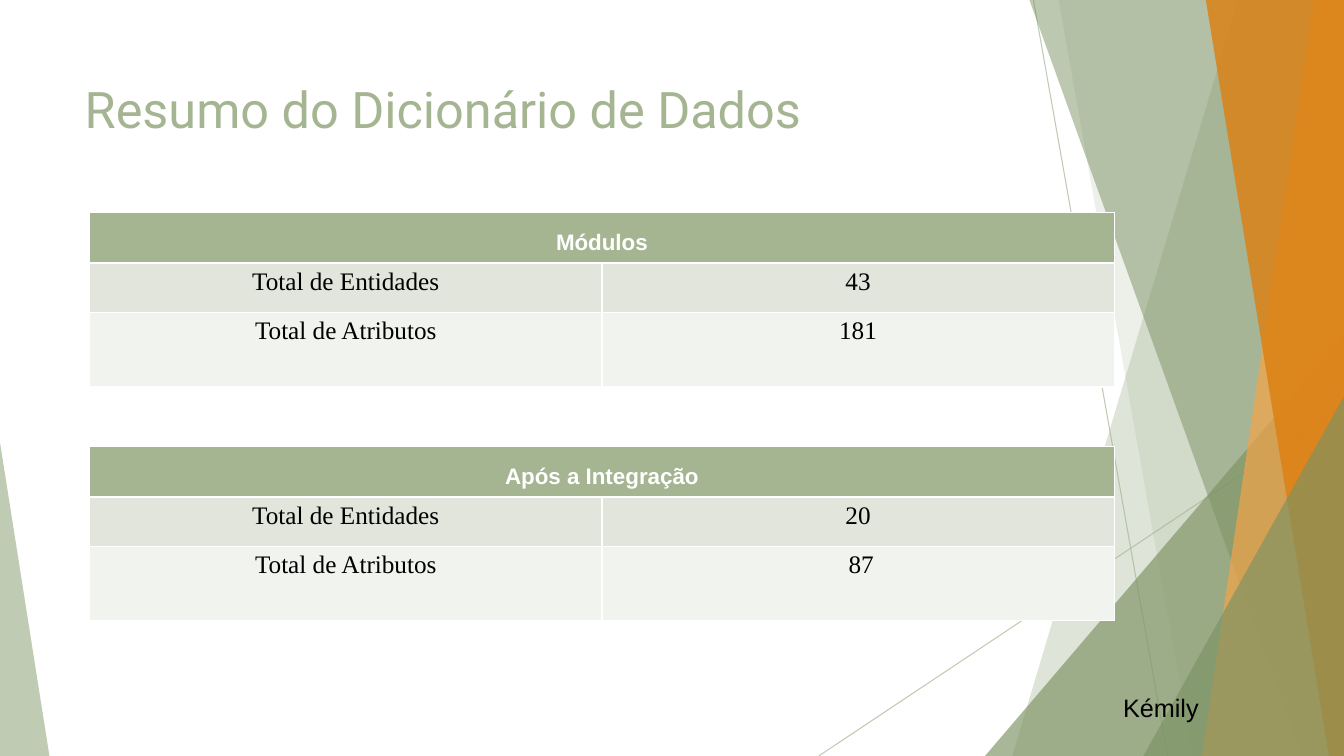
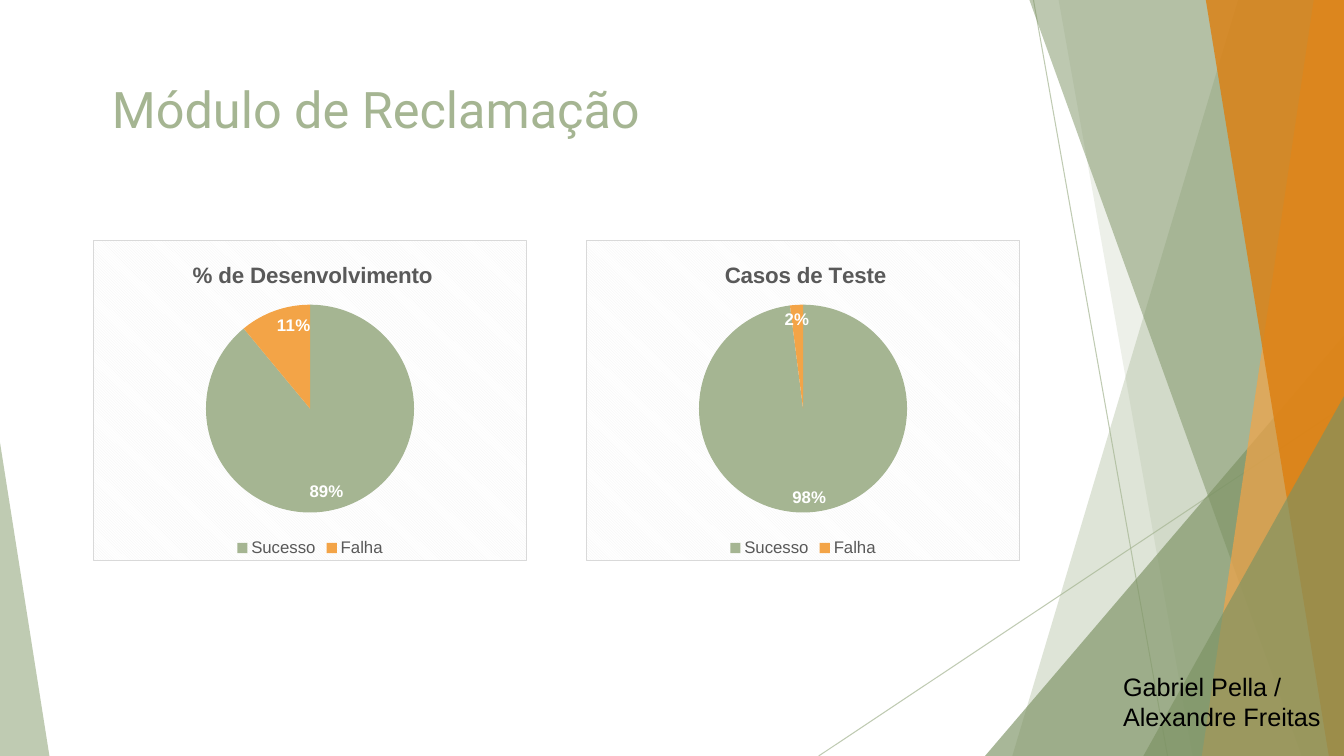
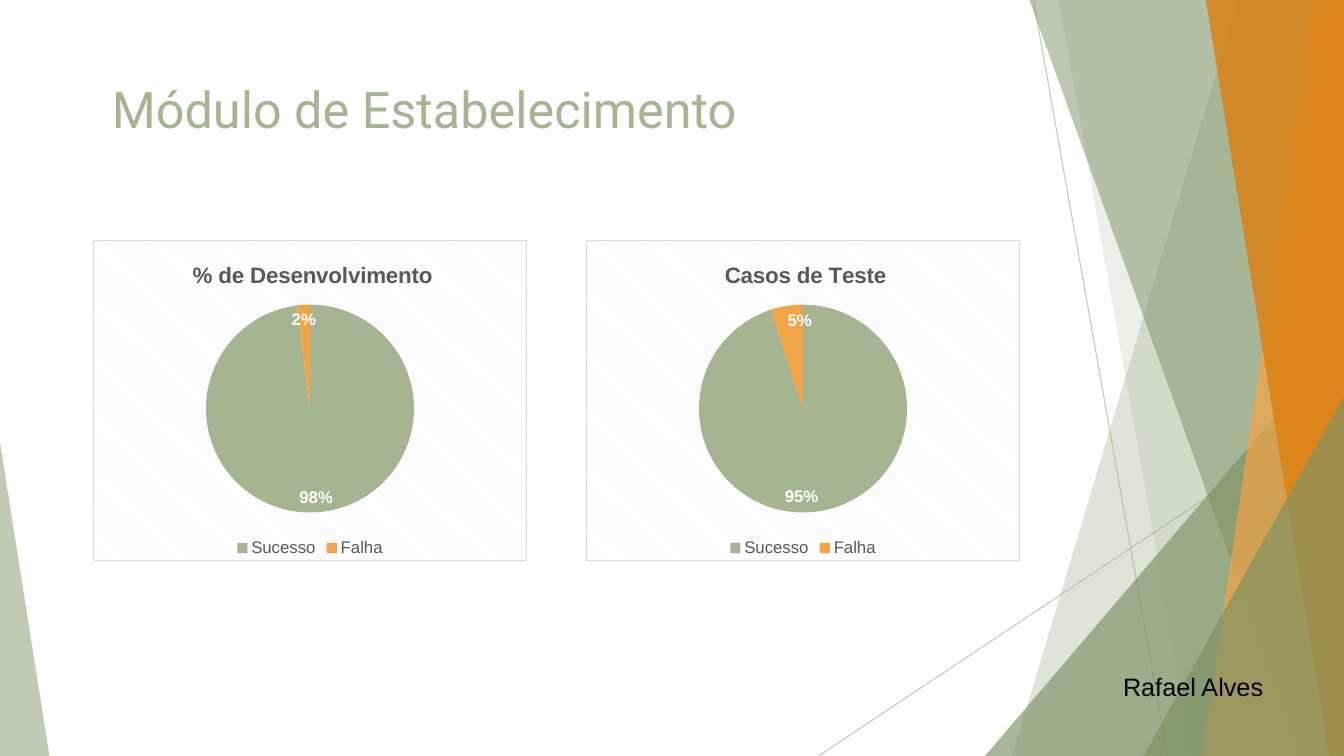
import lxml.etree
import pptx
import pptx.chart.data
import pptx.dml.color
import pptx.enum.chart
import pptx.enum.shapes
import pptx.enum.text
import pptx.oxml
import pptx.oxml.ns
import pptx.util

Inches, Pt = pptx.util.Inches, pptx.util.Pt
RGBColor = pptx.dml.color.RGBColor
PP_ALIGN = pptx.enum.text.PP_ALIGN
ANCHOR = pptx.enum.text.MSO_ANCHOR
qn = pptx.oxml.ns.qn

# Shared look
SAGE = RGBColor(0xA5, 0xB5, 0x92)
GREEN = RGBColor(0x7C, 0x92, 0x63)
AMBER = RGBColor(0xF3, 0xA4, 0x47)
ORANGE = RGBColor(0xDD, 0x7E, 0x0E)
ROW_DARK = RGBColor(0xE1, 0xE5, 0xDC)
ROW_LIGHT = RGBColor(0xF0, 0xF3, 0xEE)
GRAY = RGBColor(0x59, 0x59, 0x59)
BLACK = RGBColor(0, 0, 0)
WHITE = RGBColor(0xFF, 0xFF, 0xFF)
WIDTH, HEIGHT = 13.33, 7.5

CHART_AREA = (
    f'<c:spPr {pptx.oxml.ns.nsdecls("c", "a")}>'
    '<a:pattFill prst="dkDnDiag"><a:fgClr><a:srgbClr val="F2F2F2"/></a:fgClr>'
    '<a:bgClr><a:srgbClr val="FFFFFF"/></a:bgClr></a:pattFill>'
    '<a:ln w="9525"><a:solidFill><a:srgbClr val="D9D9D9"/></a:solidFill></a:ln>'
    '</c:spPr>')


def box(left, top, width, height):
    return Inches(left), Inches(top), Inches(width), Inches(height)


def style_font(font, size, color, name="Arial", bold=False):
    font.size, font.name, font.bold = Pt(size), name, bold
    font.color.rgb = color


def add_run(p, text, size, color, name="Arial", bold=False):
    r = p.add_run()
    r.text = text
    style_font(r.font, size, color, name, bold)


# Background facets
def set_alpha(shape, percent):
    for color in shape.element.xpath(".//a:srgbClr"):
        lxml.etree.SubElement(color, qn("a:alpha"), val=str(percent * 1000))


def paint(shape, color, percent):
    shape.shadow.inherit = False
    shape.fill.solid()
    shape.fill.fore_color.rgb = color
    shape.line.fill.background()
    set_alpha(shape, percent)


def add_line(shapes, x1, y1, x2, y2):
    line = shapes.add_connector(pptx.enum.shapes.MSO_CONNECTOR.STRAIGHT,
                                Inches(x1), Inches(y1), Inches(x2), Inches(y2))
    line.line.color.rgb = SAGE
    line.line.width = Pt(0.75)
    set_alpha(line, 70)
    lxml.etree.SubElement(line.element.spPr, qn("a:effectLst"))


def add_band(shapes, top_x, bottom_x, color, percent):
    """A band from a slanted left edge to the right edge of the slide."""
    builder = shapes.build_freeform(Inches(top_x), 0)
    corners = [(WIDTH, 0), (WIDTH, HEIGHT), (bottom_x, HEIGHT)]
    builder.add_line_segments([(Inches(x), Inches(y)) for x, y in corners])
    paint(builder.convert_to_shape(), color, percent)


def add_triangle(shapes, left, top, width, apex, color, percent):
    """A right triangle that stands on the bottom edge of the slide."""
    triangle = shapes.add_shape(pptx.enum.shapes.MSO_SHAPE.ISOSCELES_TRIANGLE,
                                *box(left, top, width, HEIGHT - top))
    triangle.adjustments[0] = apex
    paint(triangle, color, percent)


def add_facets(s):
    """Draw the facets as one group and move it to the layout."""
    group = s.shapes.add_group_shape()
    shapes = group.shapes
    add_line(shapes, 10.25, 0, 11.58, HEIGHT)
    add_line(shapes, WIDTH, 4.03, 8.12, HEIGHT)
    add_band(shapes, 12.28, 10.04, SAGE, 36)
    add_band(shapes, 10.5, 11.83, SAGE, 20)
    add_triangle(shapes, 9.77, 3.33, 3.56, 1, GREEN, 66)
    add_band(shapes, 10.21, 12.91, GREEN, 50)
    add_band(shapes, 13.03, 11.92, AMBER, 70)
    add_band(shapes, 11.96, 13.18, ORANGE, 80)
    add_triangle(shapes, 11.34, 3.93, 1.99, 1, GREEN, 66)
    add_triangle(shapes, 0, 4.39, 0.49, 0, SAGE, 70)
    for number, props in enumerate(group.element.iter(qn("p:cNvPr")), 101):
        props.set("id", str(number))
    s.slide_layout.shapes.element.insert(2, group.element)


# Text
def add_title(s, text, area, anchor, align):
    title = s.shapes.title
    title.left, title.top, title.width, title.height = box(*area)
    tf = title.text_frame
    tf.auto_size = pptx.enum.text.MSO_AUTO_SIZE.NONE
    tf.word_wrap = True
    tf.vertical_anchor = anchor
    if anchor == ANCHOR.TOP:
        tf.margin_left = tf.margin_top = tf.margin_right = tf.margin_bottom = Inches(0.1)
    p = tf.paragraphs[0]
    p.alignment = align
    add_run(p, text, 36, SAGE, "Roboto")


def add_author(s, text, top, height=0.4):
    tf = s.shapes.add_textbox(*box(11.04, top, 2.29, height)).text_frame
    tf.word_wrap = True
    add_run(tf.paragraphs[0], text, 18, BLACK)


# Tables
def fill_cell(cell, text, fill, *font):
    cell.fill.solid()
    cell.fill.fore_color.rgb = fill
    p = cell.text_frame.paragraphs[0]
    p.alignment = PP_ALIGN.CENTER
    add_run(p, text, *font)
    return p


def add_totals(s, top, heading, entities, attributes):
    table = s.shapes.add_table(3, 2, *box(0.89, top, 10.16, 1.72)).table
    for row, height in zip(table.rows, (0.49, 0.49, 0.74)):
        row.height = Inches(height)
    table.cell(0, 0).merge(table.cell(0, 1))
    p = fill_cell(table.cell(0, 0), heading, SAGE, 16, WHITE, "Arial", True)
    p.line_spacing = 1.5
    rows = [("Total de Entidades", entities, ROW_DARK),
            ("Total de Atributos", attributes, ROW_LIGHT)]
    for i, (label, value, fill) in enumerate(rows, 1):
        for j, text in enumerate((label, value)):
            fill_cell(table.cell(i, j), text, fill, 18, BLACK, "Times New Roman")


# Charts
def set_layout(parent, index, **places):
    """Fix the place of a chart part, in fractions of the chart."""
    for old in parent.findall(qn("c:layout")):
        parent.remove(old)
    layout = lxml.etree.Element(qn("c:layout"))
    manual = lxml.etree.SubElement(layout, qn("c:manualLayout"))
    if "w" in places:
        lxml.etree.SubElement(manual, qn("c:layoutTarget"), val="inner")
    for axis in "xy":
        lxml.etree.SubElement(manual, qn(f"c:{axis}Mode"), val="edge")
    for key, value in places.items():
        lxml.etree.SubElement(manual, qn(f"c:{key}"), val=str(value))
    parent.insert(index, layout)


def add_pie(s, left, heading, heading_x, values):
    data = pptx.chart.data.CategoryChartData()
    data.categories = ["Sucesso", "Falha"]
    data.add_series("Series 1", values)
    chart = s.shapes.add_chart(pptx.enum.chart.XL_CHART_TYPE.PIE,
                               *box(left, 2.38, 4.31, 3.19), data).chart
    style_font(chart.font, 10, BLACK)
    chart.element.find(qn("c:chart")).addnext(pptx.oxml.parse_xml(CHART_AREA))

    chart.has_title = True
    title = chart.chart_title
    add_run(title.text_frame.paragraphs[0], heading, 16, GRAY, bold=True)
    set_layout(title._element if not hasattr(title, "element") else title.element,
               1, x=heading_x, y=0.05)
    plot_area = chart.element.find(".//" + qn("c:plotArea"))
    set_layout(plot_area, 0, x=0.26, y=0.2, w=0.48, h=0.65)

    chart.has_legend = True
    chart.legend.position = pptx.enum.chart.XL_LEGEND_POSITION.BOTTOM
    chart.legend.include_in_layout = False
    style_font(chart.legend.font, 12, GRAY)

    plot = chart.plots[0]
    plot.vary_by_categories = True
    for i, color in enumerate((SAGE, AMBER)):
        fill = plot.series[0].points[i].format.fill
        fill.solid()
        fill.fore_color.rgb = color
    plot.has_data_labels = True
    labels = plot.data_labels
    labels.show_percentage, labels.show_value = True, False
    labels.number_format, labels.number_format_is_linked = "0%", False
    labels.position = pptx.enum.chart.XL_LABEL_POSITION.INSIDE_END
    style_font(labels.font, 12, WHITE, bold=True)


# Slides
def add_summary_slide(prs, layout):
    s = prs.slides.add_slide(layout)
    add_facets(s)
    add_title(s, "Resumo do Dicionário de Dados", (0.74, 0.67, 9.4, 1.44),
              ANCHOR.TOP, PP_ALIGN.LEFT)
    add_author(s, "Kémily", 6.82)
    add_totals(s, 2.11, "Módulos", "43", "181")
    add_totals(s, 4.43, "Após a Integração", "20", " 87")


def add_module_slide(prs, layout, name, development, tests, author, author_height=0.4):
    s = prs.slides.add_slide(layout)
    add_title(s, name, (1.01, 0.72, 10.4, 0.71), ANCHOR.MIDDLE, PP_ALIGN.JUSTIFY)
    add_pie(s, 0.92, "% de Desenvolvimento", 0.22, development)
    add_pie(s, 5.81, "Casos de Teste", 0.31, tests)
    add_author(s, author, 6.61, author_height)


def main():
    prs = pptx.Presentation()
    prs.slide_width, prs.slide_height = Inches(WIDTH), Inches(HEIGHT)
    layout = prs.slide_layouts.get_by_name("Title Only")
    add_summary_slide(prs, layout)
    add_module_slide(prs, layout, "Módulo de Reclamação", (89, 11), (98, 2),
                     "Gabriel Pella / Alexandre Freitas", 0.71)
    add_module_slide(prs, layout, "Módulo de Estabelecimento", (98, 2), (95, 5),
                     "Rafael Alves")
    prs.save("out.pptx")


if __name__ == "__main__":
    main()
